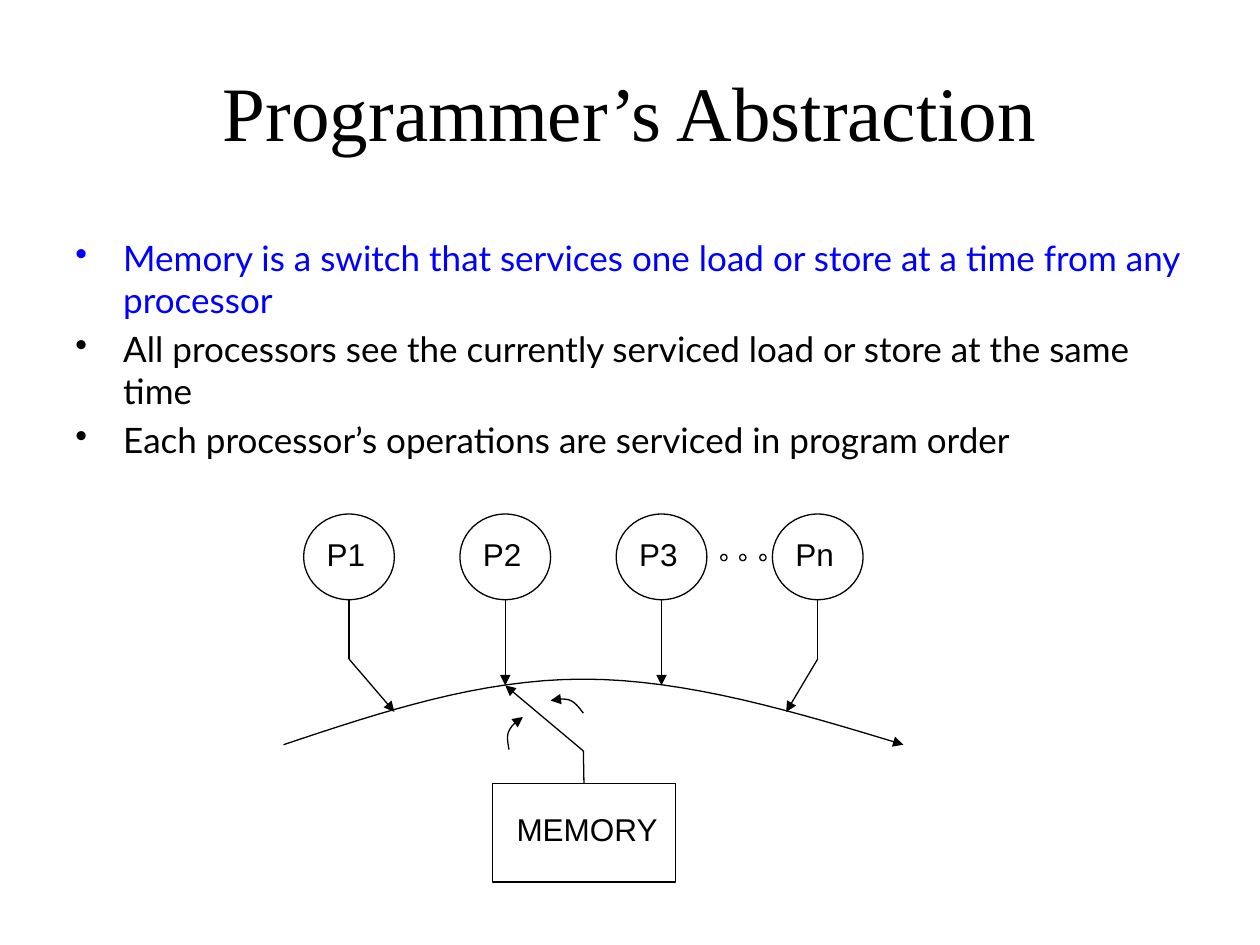
from dataclasses import dataclass
from typing import Optional

from pptx import Presentation
from pptx.dml.color import RGBColor
from pptx.enum.shapes import MSO_CONNECTOR, MSO_SHAPE
from pptx.enum.text import MSO_ANCHOR, PP_ALIGN
from pptx.oxml.ns import qn
from pptx.oxml.xmlchemy import OxmlElement
from pptx.util import Emu, Pt

PX = 9144  # EMU per px, 100 px to the inch
BLACK = RGBColor(0, 0, 0)
BLUE = RGBColor(0, 0, 255)

Point = tuple[int, int]


@dataclass(frozen=True)
class Bullet:
    text: str
    color: RGBColor = BLACK


@dataclass(frozen=True)
class Processor:
    name: str
    target: Point  # where its arrow meets the switch curve
    bend_y: Optional[int] = None


@dataclass(frozen=True)
class Curve:
    """Chain of cubic Bezier segments: a start, then three points a segment."""
    points: tuple[Point, ...]


BULLETS = (
    Bullet("Memory is a switch that services one load or store at a time from any processor", BLUE),
    Bullet("All processors see the currently serviced load or store at the same time"),
    Bullet("Each processor’s operations are serviced in program order"),
)
PROCESSORS = (
    Processor("P1", (313, 565), 523),
    Processor("P2", (401, 544)),
    Processor("P3", (525, 544)),
    Processor("Pn", (624, 565), 523),
)
CURVES = (
    Curve(((225, 591), (303, 565), (381, 539), (463, 539),
           (545, 539), (631, 565), (717, 591))),
    Curve(((463, 566), (460, 562), (457, 558), (453, 556),
           (448, 554), (443, 555), (437, 556))),
    Curve(((404, 595), (403, 589), (402, 584), (404, 580),
           (406, 576), (410, 572), (415, 569))),
)
CIRCLE_LEFT, CIRCLE_TOP, CIRCLE_W, CIRCLE_H = 241, 408, 72, 68
CIRCLE_PITCH = 124
DOT_LEFTS = (572, 587, 603)
SWITCH_PIVOT = (463, 596)
CURVE_STEPS = 16


def px(n: float) -> Emu:
    return Emu(round(n * PX))


def style_line(sp, arrow: bool = False) -> None:
    sp.line.color.rgb = BLACK
    sp.line.width = Pt(0.75)
    if arrow:
        tail = OxmlElement("a:tailEnd")
        tail.set("type", "triangle")
        sp._element.spPr.find(qn("a:ln")).append(tail)


def add_outline(s, kind: MSO_SHAPE, x: int, y: int, w: int, h: int):
    sp = s.shapes.add_shape(kind, px(x), px(y), px(w), px(h))
    sp.shadow.inherit = False
    sp.fill.background()
    style_line(sp)
    return sp


def add_line(s, start: Point, end: Point, arrow: bool = False):
    cx = s.shapes.add_connector(MSO_CONNECTOR.STRAIGHT, *map(px, start + end))
    style_line(cx, arrow)
    cx._element.spPr.append(OxmlElement("a:effectLst"))
    return cx


def bezier(a: Point, b: Point, c: Point, d: Point, t: float) -> tuple[Emu, Emu]:
    u = 1 - t
    x, y = (u**3 * i + 3 * u * u * t * j + 3 * u * t * t * k + t**3 * m
            for i, j, k, m in zip(a, b, c, d))
    return px(x), px(y)


def add_curve(s, curve: Curve) -> None:
    pts = curve.points
    fb = s.shapes.build_freeform(*map(px, pts[0]))
    fb.add_line_segments(
        [bezier(*pts[i:i + 4], step / CURVE_STEPS)
         for i in range(0, len(pts) - 1, 3)
         for step in range(1, CURVE_STEPS + 1)],
        close=False)
    sp = fb.convert_to_shape()
    sp.shadow.inherit = False
    sp.fill.background()
    style_line(sp, arrow=True)


def add_textbox(s, x: int, y: int, w: int, h: int, wrap: bool, anchor: MSO_ANCHOR):
    tf = s.shapes.add_textbox(px(x), px(y), px(w), px(h)).text_frame
    tf.word_wrap = wrap
    tf.vertical_anchor = anchor
    return tf


def add_run(p, text: str, font: str, size: int, color: RGBColor = BLACK) -> None:
    r = p.add_run()
    r.text = text
    r.font.name = font
    r.font.size = Pt(size)
    r.font.color.rgb = color


def add_label(s, text: str, x: int, y: int, w: int, h: int,
              font: str = "Arial", size: int = 18, wrap: bool = False) -> None:
    tf = add_textbox(s, x, y, w, h, wrap, MSO_ANCHOR.MIDDLE)
    p = tf.paragraphs[0]
    p.alignment = PP_ALIGN.CENTER
    add_run(p, text, font, size)


def add_bullets(s) -> None:
    tf = add_textbox(s, 50, 183, 900, 478, True, MSO_ANCHOR.TOP)
    for i, bullet in enumerate(BULLETS):
        p = tf.add_paragraph() if i else tf.paragraphs[0]
        pPr = p._p.get_or_add_pPr()
        pPr.set("marL", str(px(38)))
        pPr.set("indent", str(px(-38)))
        bu = OxmlElement("a:buChar")
        bu.set("char", "•")
        pPr.append(bu)
        if i:
            p.space_before = Pt(4)
        add_run(p, bullet.text, "Lato", 20, bullet.color)


def add_processor(s, processor: Processor, x: int) -> None:
    add_outline(s, MSO_SHAPE.FLOWCHART_CONNECTOR, x, CIRCLE_TOP, CIRCLE_W, CIRCLE_H)
    add_label(s, processor.name, x + 3, 415, 61, 50)
    start = (x + CIRCLE_W // 2, CIRCLE_TOP + CIRCLE_H)
    if processor.bend_y is not None:
        bend = (start[0], processor.bend_y)
        add_line(s, start, bend)
        start = bend
    add_line(s, start, processor.target, arrow=True)


def add_memory(s) -> None:
    box = add_outline(s, MSO_SHAPE.RECTANGLE, 391, 622, 145, 78)
    add_label(s, "MEMORY", 381, 633, 170, 50)
    add_line(s, SWITCH_PIVOT, (463, 622)).end_connect(box, 0)
    add_line(s, SWITCH_PIVOT, PROCESSORS[1].target, arrow=True)


def main() -> None:
    prs = Presentation()
    prs.slide_width, prs.slide_height = px(1000), px(750)
    s = prs.slides.add_slide(prs.slide_layouts[6])
    add_label(s, "Programmer’s Abstraction", 50, 25, 900, 125,
              "Times New Roman", 44, wrap=True)
    add_bullets(s)
    for i, processor in enumerate(PROCESSORS):
        add_processor(s, processor, CIRCLE_LEFT + i * CIRCLE_PITCH)
    for x in DOT_LEFTS:
        add_outline(s, MSO_SHAPE.OVAL, x, 440, 5, 5)
    for curve in CURVES:
        add_curve(s, curve)
    add_memory(s)
    prs.save("out.pptx")


if __name__ == "__main__":
    main()
